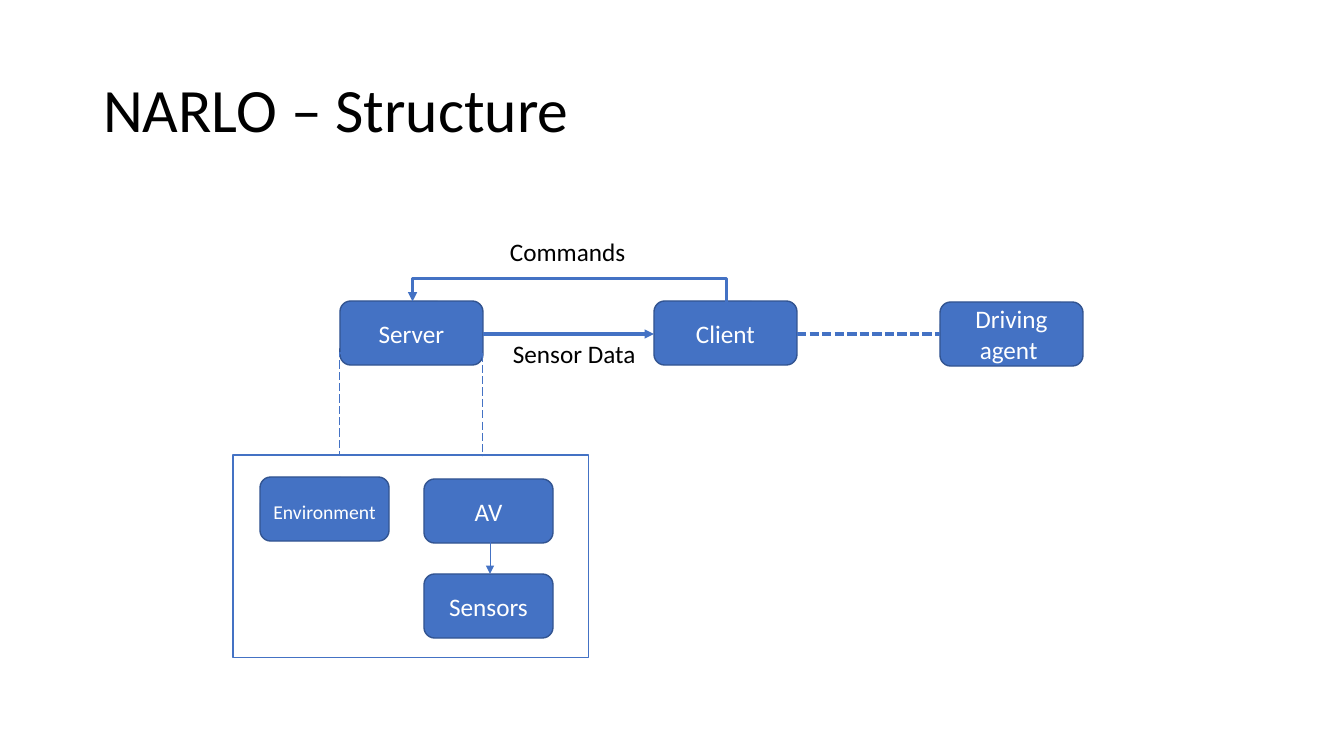
from lxml import etree
from pptx import Presentation
from pptx.dml.color import RGBColor
from pptx.enum.dml import MSO_LINE
from pptx.enum.shapes import MSO_CONNECTOR, MSO_SHAPE
from pptx.enum.text import MSO_ANCHOR, MSO_AUTO_SIZE, PP_ALIGN
from pptx.oxml.ns import qn
from pptx.util import Pt

ROUNDED, RECTANGLE = MSO_SHAPE.ROUNDED_RECTANGLE, MSO_SHAPE.RECTANGLE
STRAIGHT, ELBOW = MSO_CONNECTOR.STRAIGHT, MSO_CONNECTOR.ELBOW
LONG_DASH, SHORT_DASH = MSO_LINE.LONG_DASH, MSO_LINE.SQUARE_DOT
LEFT, CENTER = PP_ALIGN.LEFT, PP_ALIGN.CENTER
MIDDLE = MSO_ANCHOR.MIDDLE
FIT_SHAPE, NO_FIT = MSO_AUTO_SIZE.SHAPE_TO_FIT_TEXT, MSO_AUTO_SIZE.NONE

SCALE = 914400 / 100.8
FONT = "Calibri"
COLORS = {"blue": "4472C4", "edge": "325491", "white": "FFFFFF", "black": "000000"}
NODE_HEIGHT = 64


def px(*lengths):
    return [round(length * SCALE) for length in lengths]


def color(name):
    return RGBColor.from_string(COLORS[name])


class Diagram:
    """Draws styled diagram elements on one slide."""

    def __init__(self, page):
        self.page = page
        self.shapes = page.shapes

    def add_runs(self, para, runs, ink):
        for text, size in runs:
            span = para.add_run()
            span.text = text
            span.font.name = FONT
            span.font.size = Pt(size)
            span.font.color.rgb = color(ink)

    def outline(self, line, ink, width, dash=None):
        line.color.rgb = color(ink)
        line.width = Pt(width)
        if dash is not None:
            line.dash_style = dash

    def title(self, text, *area):
        box = self.shapes.title
        box.left, box.top, box.width, box.height = px(*area)
        frame = box.text_frame
        frame.auto_size = NO_FIT
        frame.vertical_anchor = MIDDLE
        para = frame.paragraphs[0]
        para.alignment = LEFT
        para.line_spacing = 0.9
        self.add_runs(para, [(text, 44)], "black")

    def node(self, runs, left, top, width):
        box = self.shapes.add_shape(ROUNDED, *px(left, top, width, NODE_HEIGHT))
        box.shadow.inherit = False
        box.fill.solid()
        box.fill.fore_color.rgb = color("blue")
        self.outline(box.line, "edge", 1)
        frame = box.text_frame
        frame.word_wrap = True
        frame.vertical_anchor = MIDDLE
        para = frame.paragraphs[0]
        para.alignment = CENTER
        self.add_runs(para, runs, "white")

    def border(self, *area, dash=None):
        box = self.shapes.add_shape(RECTANGLE, *px(*area))
        box.shadow.inherit = False
        box.fill.background()
        self.outline(box.line, "blue", 0.75, dash)

    def label(self, text, *area):
        box = self.shapes.add_textbox(*px(*area))
        frame = box.text_frame
        frame.word_wrap = False
        frame.auto_size = FIT_SHAPE
        self.add_runs(frame.paragraphs[0], [(text, 18)], "black")

    def link(self, *ends, kind=STRAIGHT, width=2.25, dash=None, arrow=True):
        link = self.shapes.add_connector(kind, *px(*ends))
        self.outline(link.line, "blue", width, dash)
        properties = link._element.spPr
        if arrow:
            stroke = properties.find(qn("a:ln"))
            etree.SubElement(stroke, qn("a:tailEnd"), type="triangle")
        etree.SubElement(properties, qn("a:effectLst"))
        return link

    def loop(self, start, end, top, rise):
        middle, half = (start + end) // 2, (start - end) // 2
        link = self.link(middle, top + half, middle + 1, top - half, kind=ELBOW)
        properties = link._element.spPr
        properties.find(qn("a:xfrm")).set("rot", str(270 * 60000))
        guides = properties.find(qn("a:prstGeom")).find(qn("a:avLst"))
        etree.SubElement(guides, qn("a:gd"), name="adj1", fmla=f"val {rise * 100000}")


def main():
    deck = Presentation()
    deck.slide_width, deck.slide_height = px(1344, 756)
    page = deck.slides.add_slide(deck.slide_layouts[5])
    diagram = Diagram(page)

    diagram.title("NARLO – Structure", 93, 40, 1159, 146)
    nodes = [
        ([("Server", 18)], 340, 301, 143),
        ([("Client", 18)], 654, 301, 143),
        ([("Driving agent ", 18)], 940, 302, 143),
        ([("Environment", 14), (" ", 18)], 260, 477, 129),
        ([("AV", 18)], 424, 479, 129),
        ([("Sensors", 18)], 424, 574, 129),
    ]
    for node in nodes:
        diagram.node(*node)
    diagram.border(233, 455, 356, 203)
    diagram.border(340, 353, 143, 103, dash=LONG_DASH)

    diagram.link(490, 542, 490, 574, width=0.5)
    diagram.label("Sensor Data", 503, 333, 144, 40)
    diagram.link(483, 334, 654, 334)
    diagram.loop(726, 412, 302, 24)
    diagram.label("Commands", 500, 231, 137, 40)
    diagram.link(797, 334, 940, 334, dash=SHORT_DASH, arrow=False)

    deck.save("out.pptx")


if __name__ == "__main__":
    main()
